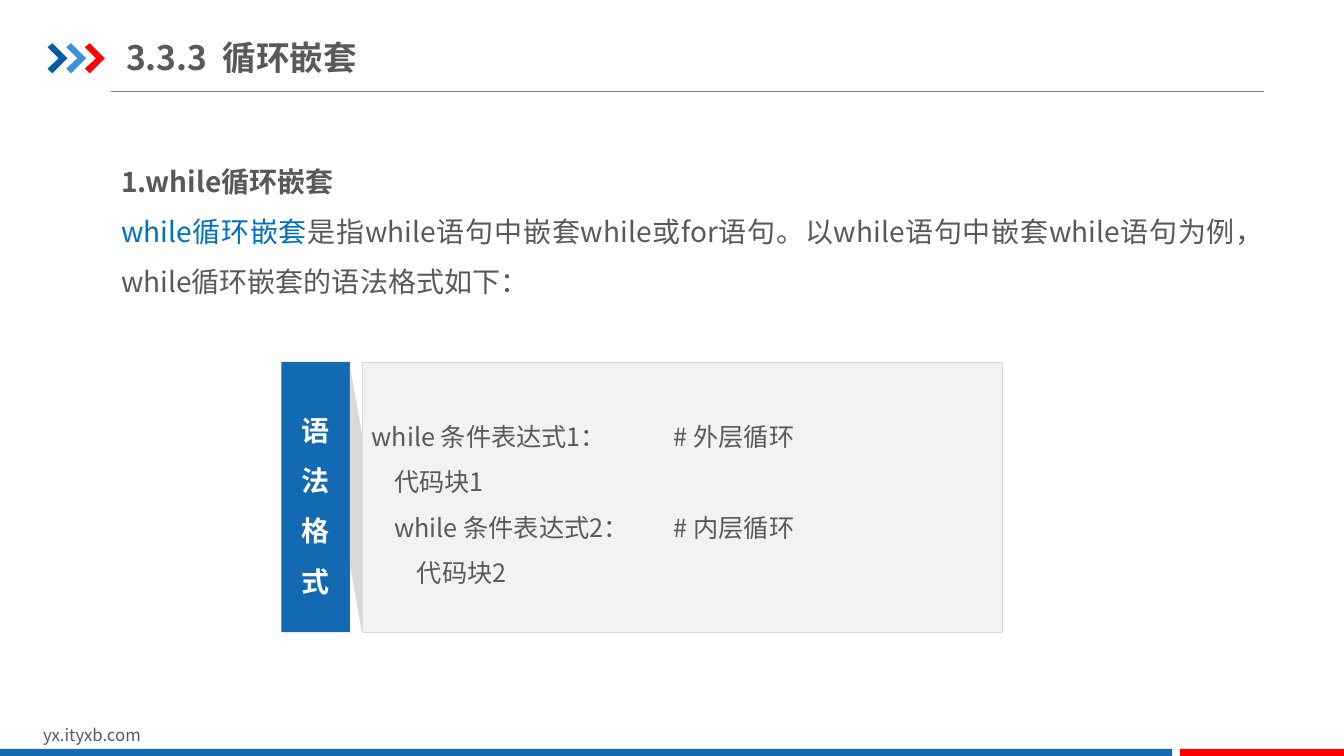
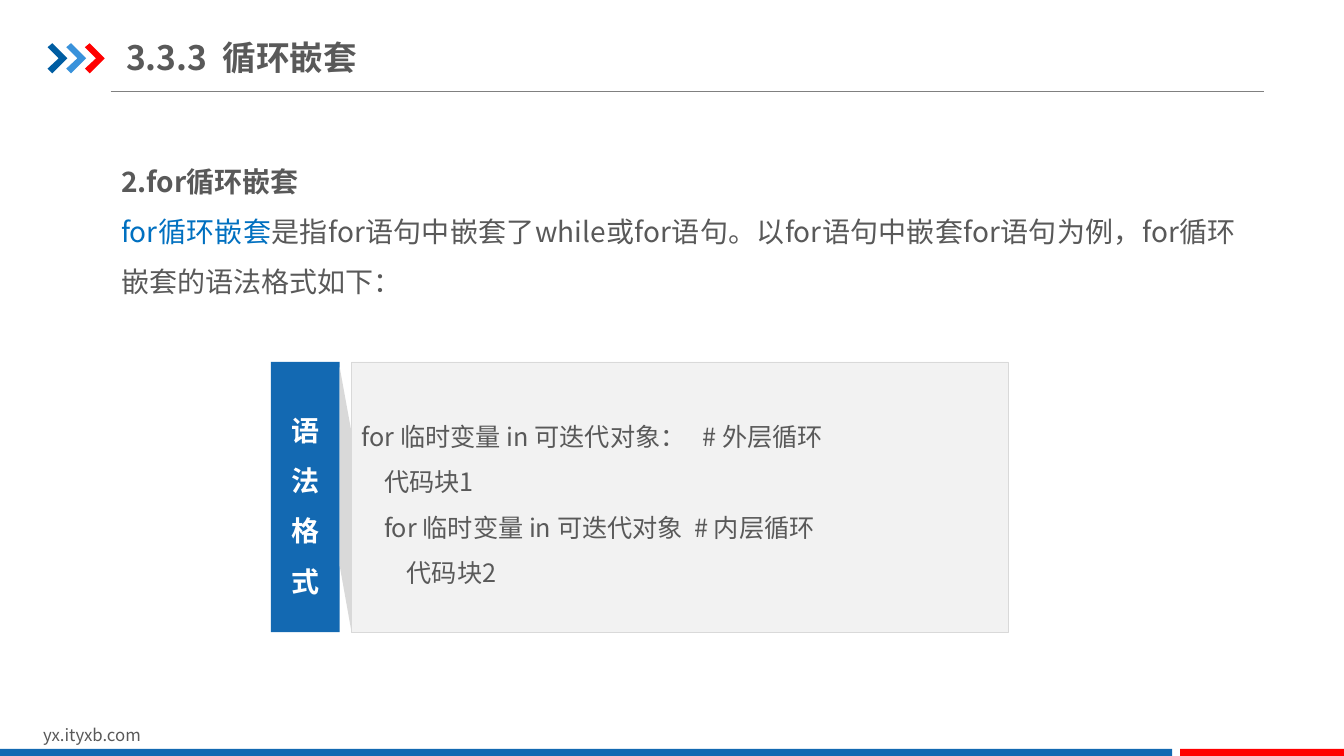
"""Build two slides on nested loops: while and for."""
from lxml import etree
from pptx import Presentation
from pptx.dml.color import RGBColor
from pptx.enum.shapes import MSO_CONNECTOR, MSO_SHAPE
from pptx.enum.text import MSO_ANCHOR, MSO_AUTO_SIZE, PP_ALIGN
from pptx.oxml.ns import qn
from pptx.util import Cm, Pt

RECT, LINE = MSO_SHAPE.RECTANGLE, MSO_CONNECTOR.STRAIGHT
TOP, MIDDLE = MSO_ANCHOR.TOP, MSO_ANCHOR.MIDDLE
LEFT, CENTER, JUSTIFY = PP_ALIGN.LEFT, PP_ALIGN.CENTER, PP_ALIGN.JUSTIFY
FIXED = MSO_AUTO_SIZE.NONE

FONT = "Noto Sans CJK SC"
BLUE = RGBColor(0x13, 0x69, 0xB2)
NAVY = RGBColor(0x00, 0x5D, 0xA2)
SKY = RGBColor(0x39, 0x92, 0xDB)
RED = RGBColor(0xFF, 0x00, 0x00)
KEY = RGBColor(0x00, 0x70, 0xC0)
INK = RGBColor(0x59, 0x59, 0x59)
RULE = RGBColor(0x80, 0x80, 0x80)
EDGE = RGBColor(0xD9, 0xD9, 0xD9)
PALE = RGBColor(0xF2, 0xF2, 0xF2)
WHITE = RGBColor(0xFF, 0xFF, 0xFF)

TITLE = "3.3.3  循环嵌套"
LABEL = "语法格式"
ARROW = [(0, 0.1), (0.12, 0), (0.5, 0.38), (0.12, 0.76), (0, 0.64), (0.28, 0.38)]
PANEL_Y, PANEL_H = 9.12, 6.81
TAB_W, GAP = 1.73, 0.3

TOPICS = [
    {
        "head": "1.while循环嵌套",
        "key": "while循环嵌套",
        "rest": "是指while语句中嵌套while或for语句。以while语句中嵌套while语句为例，"
                "while循环嵌套的语法格式如下：",
        "code": [
            "while 条件表达式1：            # 外层循环",
            "    代码块1",
            "    while 条件表达式2：        # 内层循环",
            "        代码块2",
        ],
        "left": 9.12,
        "width": 16.15,
    },
    {
        "head": "2.for循环嵌套",
        "key": "for循环嵌套",
        "rest": "是指for语句中嵌套了while或for语句。以for语句中嵌套for语句为例，"
                "for循环嵌套的语法格式如下：",
        "code": [
            "for 临时变量 in 可迭代对象：   # 外层循环",
            "    代码块1",
            "    for 临时变量 in 可迭代对象  # 内层循环",
            "        代码块2",
        ],
        "left": 8.86,
        "width": 16.54,
    },
]


def style(para, size, color=INK, bold=False, align=LEFT, space=1.0):
    """Format one paragraph, Latin and East Asian fonts alike."""
    para.alignment, para.line_spacing = align, space
    para.space_before = Pt(0)
    font = para.font
    font.name, font.size, font.bold = FONT, Pt(size), bold
    font.color.rgb = color
    base = para._p.pPr.find(qn("a:defRPr"))
    etree.SubElement(base, qn("a:ea"), typeface=FONT)


def write(frame, lines, size, **looks):
    """Fill a text frame with one paragraph for each line."""
    frame.word_wrap = True
    for i, line in enumerate(lines):
        para = frame.add_paragraph() if i else frame.paragraphs[0]
        para.text = line
        style(para, size, **looks)


def place(shape, left, top, width, height):
    """Move and size a shape, in centimetres."""
    shape.left, shape.top = Cm(left), Cm(top)
    shape.width, shape.height = Cm(width), Cm(height)


def inset(frame, side, anchor):
    """Set the margins and anchor of a placeholder's text."""
    frame.auto_size, frame.vertical_anchor = FIXED, anchor
    frame.margin_left = frame.margin_right = Cm(side)
    frame.margin_top = frame.margin_bottom = Cm(0.18)


def paint(shape, fill, edge=None):
    """Give a shape a flat fill and an optional thin edge."""
    shape.shadow.inherit = False
    shape.fill.solid()
    shape.fill.fore_color.rgb = fill
    if edge is None:
        shape.line.fill.background()
    else:
        shape.line.color.rgb, shape.line.width = edge, Pt(0.25)
    return shape


def block(slide, left, top, width, height, fill, edge=None):
    """Add a filled rectangle."""
    box = slide.shapes.add_shape(RECT, Cm(left), Cm(top), Cm(width), Cm(height))
    return paint(box, fill, edge)


def outline(slide, points, fill):
    """Add a closed polygon."""
    first, *rest = [(Cm(x), Cm(y)) for x, y in points]
    path = slide.shapes.build_freeform(*first)
    path.add_line_segments(rest, close=True)
    return paint(path.convert_to_shape(), fill)


def rule(slide, left, right, y):
    """Add a thin level line."""
    line = slide.shapes.add_connector(LINE, Cm(left), Cm(y), Cm(right), Cm(y))
    line.line.color.rgb, line.line.width = RULE, Pt(0.75)
    etree.SubElement(line._element.spPr, qn("a:effectLst"))
    return line


def furnish(slide, layout):
    """Draw the shared marks and move them to the layout."""
    marks = [rule(slide, 2.79, 31.85, 2.31)]
    for i, color in enumerate((NAVY, SKY, RED)):
        points = [(1.2 + 0.47 * i + x, 1.09 + y) for x, y in ARROW]
        marks.append(outline(slide, points, color))
    site = slide.shapes.add_textbox(Cm(0.84), Cm(18.14), Cm(8.08), Cm(0.76))
    write(site.text_frame, ["yx.ityxb.com"], 12)
    marks.append(site)
    marks.append(block(slide, 0, 18.87, 29.54, 0.18, BLUE))
    marks.append(block(slide, 29.74, 18.87, 4.13, 0.18, RED))
    for mark in marks:
        layout.shapes.element.append(mark._element)


def head(slide):
    """Fill the title placeholder."""
    title = slide.shapes.title
    place(title, 3.18, 0.74, 12.75, 1.4)
    inset(title.text_frame, 0, MIDDLE)
    write(title.text_frame, [TITLE], 24, bold=True)


def intro(slide, topic):
    """Fill the body placeholder with heading and definition."""
    body = slide.placeholders[1]
    place(body, 2.72, 3.53, 28.75, 4.37)
    frame = body.text_frame
    inset(frame, 0.33, TOP)
    frame.word_wrap = True
    first, text = frame.paragraphs[0], frame.add_paragraph()
    first.text = topic["head"]
    term = text.add_run()
    term.text = topic["key"]
    term.font.color.rgb = KEY
    text.add_run().text = topic["rest"]
    for para in (first, text):
        props = para._p.get_or_add_pPr()
        props.set("marL", "0")
        props.set("indent", "0")
        etree.SubElement(props, qn("a:buNone"))
        style(para, 20, bold=para is first, align=JUSTIFY, space=1.5)


def syntax(slide, topic):
    """Add the code panel with its label tab and fold."""
    left, end = topic["left"], PANEL_Y + PANEL_H
    panel = block(slide, left, PANEL_Y, topic["width"], PANEL_H, PALE, EDGE)
    panel.text_frame.vertical_anchor = MIDDLE
    write(panel.text_frame, topic["code"], 18, space=1.5)
    inner = left - GAP
    tab = block(slide, inner - TAB_W, PANEL_Y, TAB_W, PANEL_H, BLUE)
    tab.text_frame.vertical_anchor = MIDDLE
    write(tab.text_frame, LABEL, 20, color=WHITE, bold=True, align=CENTER, space=1.5)
    fold = [(left, 10.9), (left, end), (inner, 14.25), (inner, 9.25)]
    outline(slide, fold, EDGE)


def main():
    """Build and save the deck."""
    deck = Presentation()
    deck.slide_width, deck.slide_height = Cm(33.87), Cm(19.05)
    layout = deck.slide_layouts[1]
    for i, topic in enumerate(TOPICS):
        slide = deck.slides.add_slide(layout)
        if i == 0:
            furnish(slide, layout)
        head(slide)
        intro(slide, topic)
        syntax(slide, topic)
    deck.save("out.pptx")


if __name__ == "__main__":
    main()
